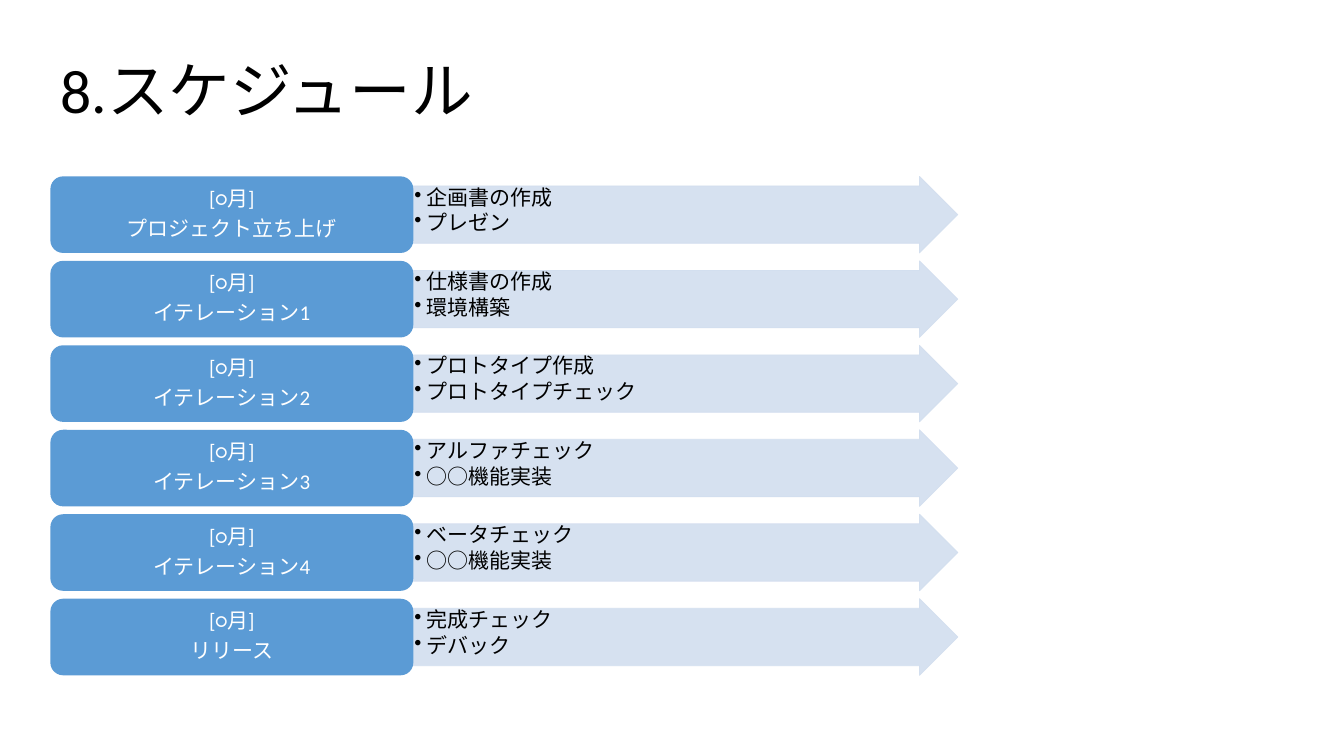
from lxml import etree
from pptx import Presentation
from pptx.dml.color import RGBColor
from pptx.enum.shapes import MSO_SHAPE
from pptx.enum.text import MSO_ANCHOR, MSO_AUTO_SIZE, PP_ALIGN
from pptx.oxml.ns import qn
from pptx.util import Inches, Pt

"""Build the project schedule slide."""

TITLE = "8.スケジュール"
MONTH = "[○月]"
PHASES = [
    ("プロジェクト立ち上げ", ["企画書の作成", "プレゼン"]),
    ("イテレーション1", ["仕様書の作成", "環境構築"]),
    ("イテレーション2", ["プロトタイプ作成", "プロトタイプチェック"]),
    ("イテレーション3", ["アルファチェック", "○○機能実装"]),
    ("イテレーション4", ["ベータチェック", "○○機能実装"]),
    ("リリース", ["完成チェック", "デバック"]),
]

FONT = "Calibri"
BLACK = RGBColor(0x00, 0x00, 0x00)
WHITE = RGBColor(0xFF, 0xFF, 0xFF)
BLUE = RGBColor(0x5B, 0x9B, 0xD5)
PALE_BLUE = RGBColor(0xD2, 0xDE, 0xEF)

LEFT, TOP = 0.5, 1.75
LABEL_WIDTH, ARROW_WIDTH = 3.6, 5.4
ROW_HEIGHT, BOTTOM = 0.76, 6.7
ROW_STEP = (BOTTOM - TOP - ROW_HEIGHT) / (len(PHASES) - 1)


def add_child(parent, tag, **attributes):
    return etree.SubElement(parent, qn(tag), attributes)


def style_font(paragraph, size, color):
    paragraph.line_spacing = 0.9
    for run in paragraph.runs:
        run.font.name = FONT
        run.font.size = Pt(size)
        run.font.color.rgb = color


def add_block(slide, preset, left, top, width, fill):
    block = slide.shapes.add_shape(
        preset, Inches(left), Inches(top), Inches(width), Inches(ROW_HEIGHT)
    )
    block.shadow.inherit = False
    block.fill.solid()
    block.fill.fore_color.rgb = fill
    block.line.fill.background()
    return block


def write_lines(block, lines, color, align, anchor, insets, space_after):
    frame = block.text_frame
    frame.word_wrap = True
    frame.vertical_anchor = anchor
    frame.margin_left = frame.margin_right = Inches(insets[0])
    frame.margin_top = frame.margin_bottom = Inches(insets[1])
    frame.text = "\n".join(lines)
    for paragraph in frame.paragraphs:
        paragraph.alignment = align
        style_font(paragraph, 15, color)
        spacing = add_child(paragraph._p.get_or_add_pPr(), "a:spcAft")
        add_child(spacing, "a:spcPct", val=str(space_after * 1000))


def add_bullets(block):
    for paragraph in block.text_frame.paragraphs:
        paragraph.level = 1
        properties = paragraph._p.get_or_add_pPr()
        properties.set("marL", str(Inches(0.12)))
        properties.set("indent", str(Inches(-0.12)))
        add_child(properties, "a:buChar", char="•")


def add_phase(slide, top, name, tasks):
    arrow = add_block(
        slide, MSO_SHAPE.RIGHT_ARROW, LEFT + LABEL_WIDTH, top, ARROW_WIDTH, PALE_BLUE
    )
    arrow.adjustments[0] = 0.75
    arrow.line.color.rgb = PALE_BLUE
    arrow.line.width = Pt(0.5)
    for color in arrow._element.spPr.iter(qn("a:srgbClr")):
        add_child(color, "a:alpha", val="90000")
    write_lines(arrow, tasks, BLACK, PP_ALIGN.LEFT, MSO_ANCHOR.TOP, (0.01, 0.01), 15)
    add_bullets(arrow)

    label = add_block(
        slide, MSO_SHAPE.ROUNDED_RECTANGLE, LEFT, top, LABEL_WIDTH, BLUE
    )
    write_lines(
        label, [MONTH, name], WHITE, PP_ALIGN.CENTER, MSO_ANCHOR.MIDDLE, (0.06, 0.03), 35
    )


def add_title(slide):
    title = slide.shapes.title
    title.left, title.top = Inches(LEFT), Inches(0.3)
    title.width, title.height = Inches(9), Inches(1.25)
    frame = title.text_frame
    frame.text = TITLE
    frame.auto_size = MSO_AUTO_SIZE.NONE
    frame.vertical_anchor = MSO_ANCHOR.MIDDLE
    frame.paragraphs[0].alignment = PP_ALIGN.LEFT
    style_font(frame.paragraphs[0], 44, BLACK)


presentation = Presentation()
presentation.slide_width = Inches(13.33)
presentation.slide_height = Inches(7.5)
schedule = presentation.slides.add_slide(presentation.slide_layouts[5])
add_title(schedule)
for row, (name, tasks) in enumerate(PHASES):
    add_phase(schedule, TOP + row * ROW_STEP, name, tasks)
presentation.save("out.pptx")
